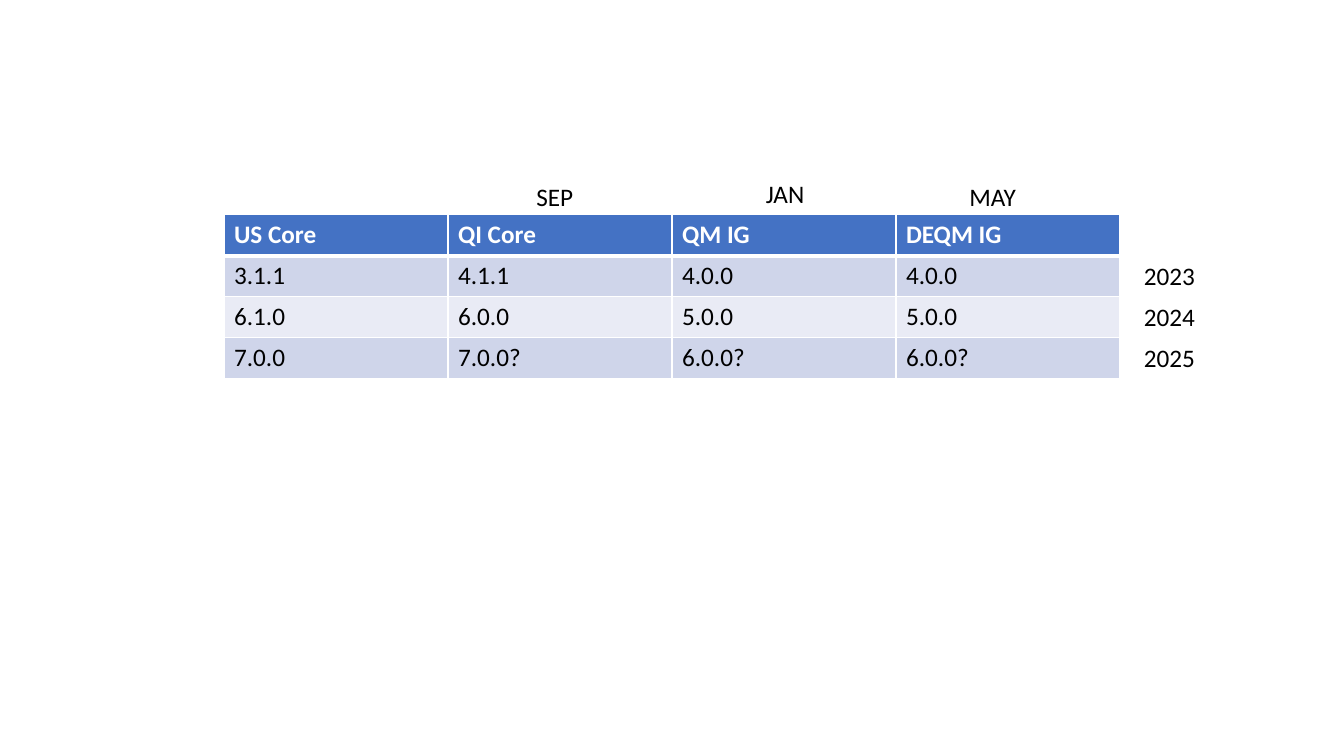
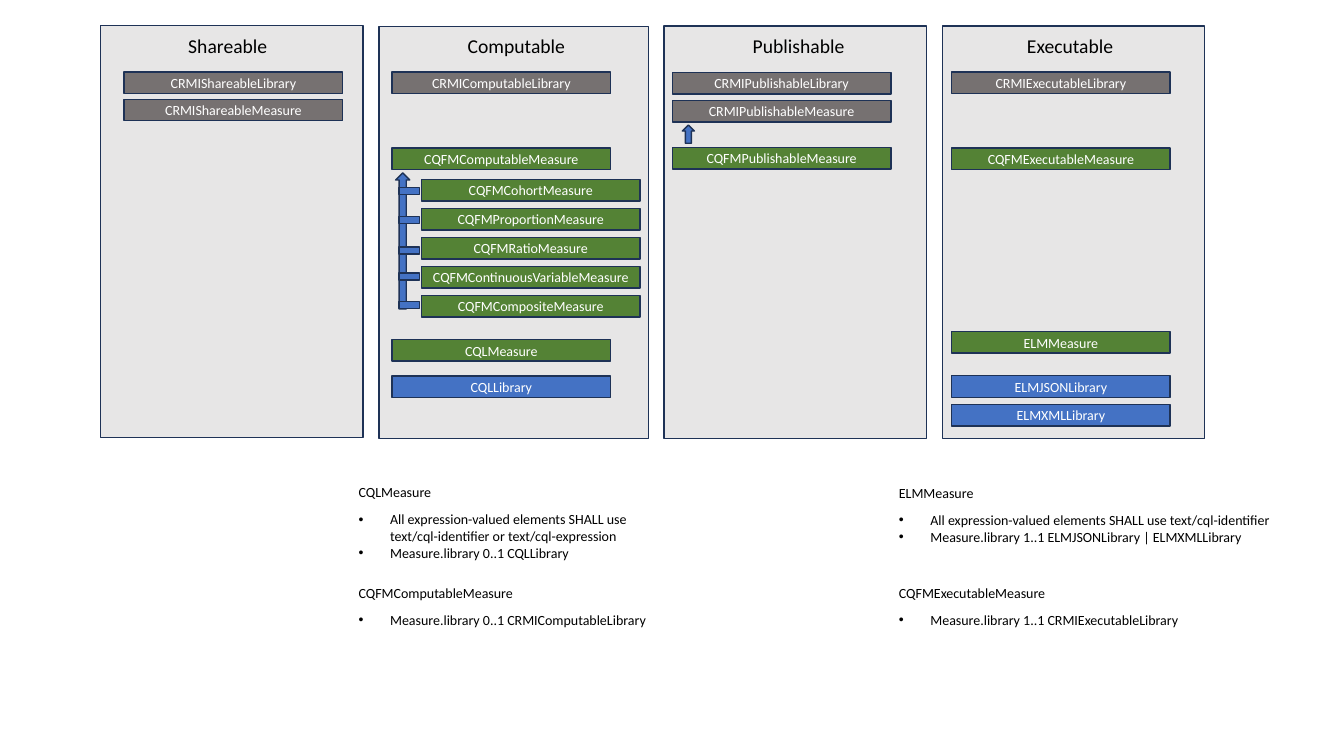
from lxml import etree
from pptx import Presentation
from pptx.dml.color import RGBColor
from pptx.enum.shapes import MSO_SHAPE
from pptx.enum.text import MSO_ANCHOR, MSO_AUTO_SIZE, PP_ALIGN
from pptx.oxml.ns import qn
from pptx.util import Pt

RECT, UP_ARROW = MSO_SHAPE.RECTANGLE, MSO_SHAPE.UP_ARROW
MIDDLE, CENTER = MSO_ANCHOR.MIDDLE, PP_ALIGN.CENTER
FIT_SHAPE = MSO_AUTO_SIZE.SHAPE_TO_FIT_TEXT

FONT = "Calibri"
BLACK, WHITE, OUTLINE = "000000", "FFFFFF", "1E3256"
PANEL, GRAY, GREEN, BLUE = "E7E6E6", "767171", "548235", "4472C4"
BANDS = ["CFD5EA", "E9EBF5"]

VERSIONS = [
    ["US Core", "QI Core", "QM IG", "DEQM IG"],
    ["3.1.1", "4.1.1", "4.0.0", "4.0.0"],
    ["6.1.0", "6.0.0", "5.0.0", "5.0.0"],
    ["7.0.0", "7.0.0?", "6.0.0?", "6.0.0?"],
]
TABLE_X, TABLE_Y, COL_W, ROW_H = 160, 153.5, 160, 29.2
MONTHS = [("SEP", 376, 126, 41), ("JAN", 540, 123.8, 42.5), ("MAY", 685.4, 126, 48.2)]
YEARS = ["2023", "2024", "2025"]

# Each panel: title, title left, title width, left, top, width, box left, boxes (text, top, fill)
PANELS = [
    ("Shareable", 127.4, 72, 72, 18.2, 187.4, 88.6, [
        ("CRMIShareableLibrary", 51.5, GRAY),
        ("CRMIShareableMeasure", 70.9, GRAY),
    ]),
    ("Computable", 326.9, 85, 270.7, 18.9, 192.5, 280, [
        ("CRMIComputableLibrary", 51.5, GRAY),
        ("CQFMComputableMeasure", 105.8, GREEN),
        ("CQLMeasure", 242.6, GREEN),
        ("CQLLibrary", 268.7, BLUE),
    ]),
    ("Publishable", 530.6, 80.6, 474.3, 18.7, 187.4, 480.2, [
        ("CRMIPublishableLibrary", 51.8, GRAY),
        ("CRMIPublishableMeasure", 71.8, GRAY),
        ("CQFMPublishableMeasure", 105.3, GREEN),
    ]),
    ("Executable", 726.5, 81.4, 673.2, 18.7, 187.4, 679.7, [
        ("CRMIExecutableLibrary", 51.5, GRAY),
        ("CQFMExecutableMeasure", 105.8, GREEN),
        ("ELMMeasure", 236.9, GREEN),
        ("ELMJSONLibrary", 268.4, BLUE),
        ("ELMXMLLibrary", 288.9, BLUE),
    ]),
]
PANEL_H, TITLE_Y, BOX_W, BOX_H = 294.5, 20.9, 156.2, 15.4

SUBTYPES = ["CQFMCohortMeasure", "CQFMProportionMeasure", "CQFMRatioMeasure",
            "CQFMContinuousVariableMeasure", "CQFMCompositeMeasure"]
SUBTYPE_X, SUBTYPE_Y, SUBTYPE_STEP = 301, 128.2, 20.7
ARROWS = [(487.4, 89.3, 8.6, 13), (282.6, 123.5, 10.1, 97.2)]
BRANCH_X, BRANCH_W, BRANCH_H = 285.1, 14.4, 5
BRANCH_TOPS = [133.9, 154.8, 176.4, 195.1, 215.3]

# Each note: heading, heading width, left, top, list width, list wraps, bullets
NOTES = [
    ("CQLMeasure", 67, 249.1, 342, 235.4, True, [
        "All expression-valued elements SHALL use text/cql-identifier or text/cql-expression",
        "Measure.library 0..1 CQLLibrary"]),
    ("ELMMeasure", 68.4, 635, 342.4, 281.5, False, [
        "All expression-valued elements SHALL use text/cql-identifier",
        "Measure.library 1..1 ELMJSONLibrary | ELMXMLLibrary"]),
    ("CQFMComputableMeasure", 126.7, 249.1, 414, 235.4, True, [
        "Measure.library 0..1 CRMIComputableLibrary"]),
    ("CQFMExecutableMeasure", 121, 635, 414, 217.4, False, [
        "Measure.library 1..1 CRMIExecutableLibrary"]),
]
NOTE_GAP, NOTE_H, NOTE_LINE, NOTE_INDENT = 19.3, 19.4, 12.2, 22.5


def rgb(value):
    """Turn a hex string into a colour."""
    return RGBColor.from_string(value)


def style(p, size, color, bold=False):
    """Format every run of a paragraph."""
    for r in p.runs:
        r.font.name, r.font.size, r.font.bold = FONT, Pt(size), bold
        r.font.color.rgb = rgb(color)


def add_text(slide, lines, x, y, w, h, size, wrap=False, bullets=False):
    """Add a text box with one paragraph per line."""
    tf = slide.shapes.add_textbox(Pt(x), Pt(y), Pt(w), Pt(h)).text_frame
    tf.word_wrap, tf.auto_size = wrap, FIT_SHAPE
    tf.text = "\n".join(lines)
    for p in tf.paragraphs:
        style(p, size, BLACK)
        if bullets:
            pPr = p._p.get_or_add_pPr()
            pPr.set("marL", str(Pt(NOTE_INDENT)))
            pPr.set("indent", str(-Pt(NOTE_INDENT)))
            etree.SubElement(pPr, qn("a:buFont"), typeface="Arial")
            etree.SubElement(pPr, qn("a:buChar"), char="•")


def add_box(slide, x, y, w, h, fill, text="", kind=RECT):
    """Add an outlined shape with optional centred text."""
    sp = slide.shapes.add_shape(kind, Pt(x), Pt(y), Pt(w), Pt(h))
    sp.shadow.inherit = False
    sp.fill.solid()
    sp.fill.fore_color.rgb = rgb(fill)
    sp.line.color.rgb, sp.line.width = rgb(OUTLINE), Pt(1)
    if text:
        tf = sp.text_frame
        tf.margin_left = tf.margin_right = tf.margin_top = tf.margin_bottom = 0
        tf.text, tf.vertical_anchor = text, MIDDLE
        tf.paragraphs[0].alignment = CENTER
        style(tf.paragraphs[0], 10, WHITE)


def set_borders(cell, widths):
    """Give a cell white borders of the given widths."""
    tcPr = cell._tc.get_or_add_tcPr()
    for side, width in widths.items():
        ln = etree.SubElement(tcPr, qn("a:ln" + side), w=str(Pt(width)))
        fill = etree.SubElement(ln, qn("a:solidFill"))
        etree.SubElement(fill, qn("a:srgbClr"), val=WHITE)


def build_versions(slide):
    """Draw the version table with its month and year labels."""
    rows, cols = len(VERSIONS), len(VERSIONS[0])
    table = slide.shapes.add_table(rows, cols, Pt(TABLE_X), Pt(TABLE_Y),
                                   Pt(COL_W * cols), Pt(ROW_H * rows)).table
    for col in table.columns:
        col.width = Pt(COL_W)
    for i, values in enumerate(VERSIONS):
        table.rows[i].height = Pt(ROW_H)
        header = i == 0
        for j, value in enumerate(values):
            cell = table.cell(i, j)
            set_borders(cell, {"L": 1, "R": 1, "T": 3 if i == 1 else 1, "B": 3 if header else 1})
            cell.fill.solid()
            cell.fill.fore_color.rgb = rgb(BLUE if header else BANDS[(i - 1) % 2])
            cell.text = value
            style(cell.text_frame.paragraphs[0], 18, WHITE if header else BLACK, header)
    for month, x, y, w in MONTHS:
        add_text(slide, [month], x, y, w, 29, 18)
    for i, year in enumerate(YEARS, 1):
        add_text(slide, [year], 810, TABLE_Y + ROW_H * i - 0.4, 51.1, 29, 18)


def build_profiles(slide):
    """Draw the profile panels, the subtype tree and the notes."""
    for title, title_x, title_w, x, y, w, box_x, boxes in PANELS:
        add_box(slide, x, y, w, PANEL_H, PANEL)
        add_text(slide, [title], title_x, TITLE_Y, title_w, 24.2, 14)
        for text, top, fill in boxes:
            add_box(slide, box_x, top, BOX_W, BOX_H, fill, text)
    for i, text in enumerate(SUBTYPES):
        add_box(slide, SUBTYPE_X, SUBTYPE_Y + SUBTYPE_STEP * i, BOX_W, BOX_H, GREEN, text)
    for x, y, w, h in ARROWS:
        add_box(slide, x, y, w, h, BLUE, kind=UP_ARROW)
    for top in BRANCH_TOPS:
        add_box(slide, BRANCH_X, top, BRANCH_W, BRANCH_H, BLUE)
    for heading, heading_w, x, y, w, wrap, items in NOTES:
        add_text(slide, [heading], x, y, heading_w, NOTE_H, 10)
        add_text(slide, items, x, y + NOTE_GAP, w, NOTE_H + NOTE_LINE * (len(items) - 1),
                 10, wrap, bullets=True)


def main():
    """Build and save the presentation."""
    prs = Presentation()
    prs.slide_width, prs.slide_height = Pt(960), Pt(540)
    for build in (build_versions, build_profiles):
        build(prs.slides.add_slide(prs.slide_layouts[6]))
    prs.save("out.pptx")


if __name__ == "__main__":
    main()
